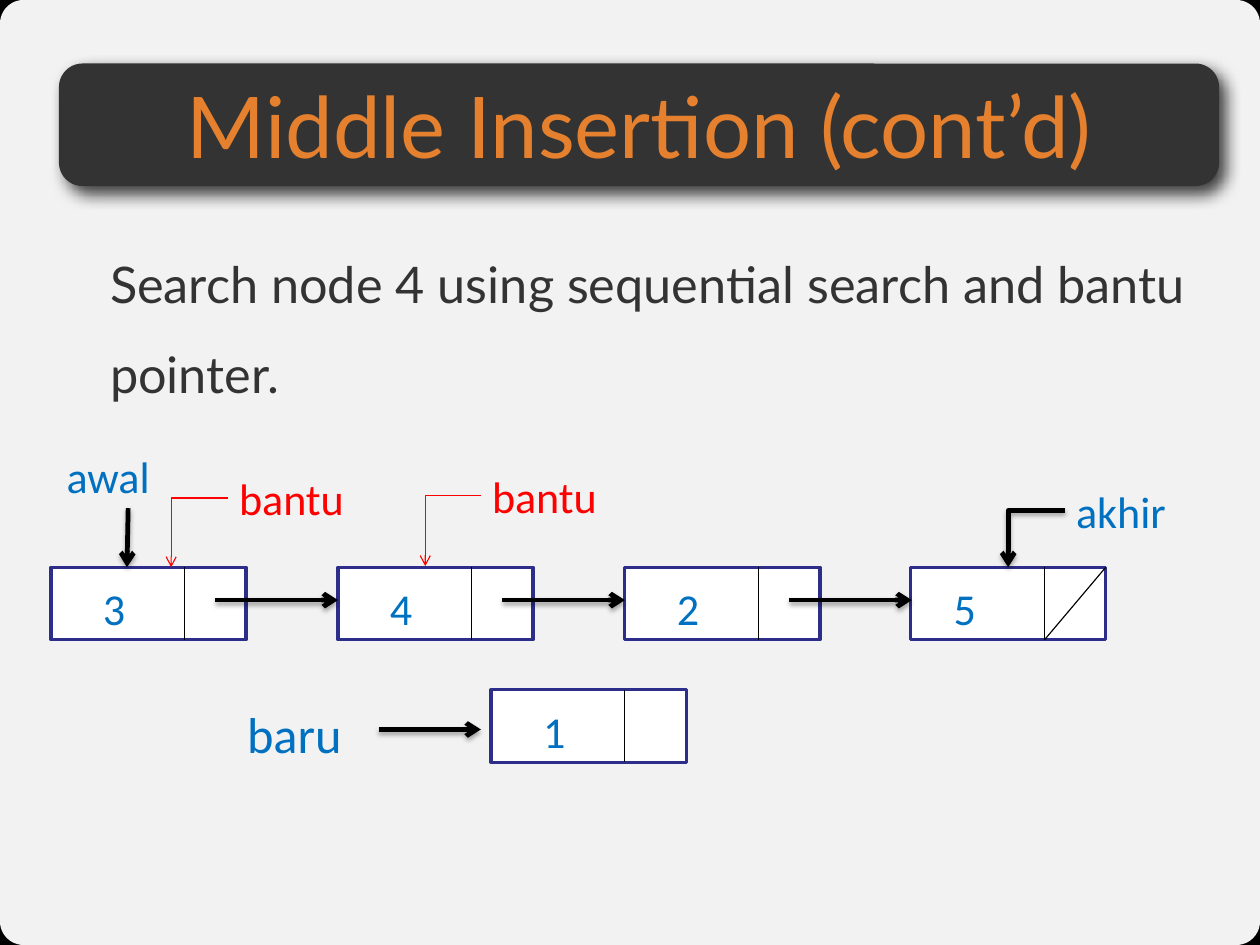
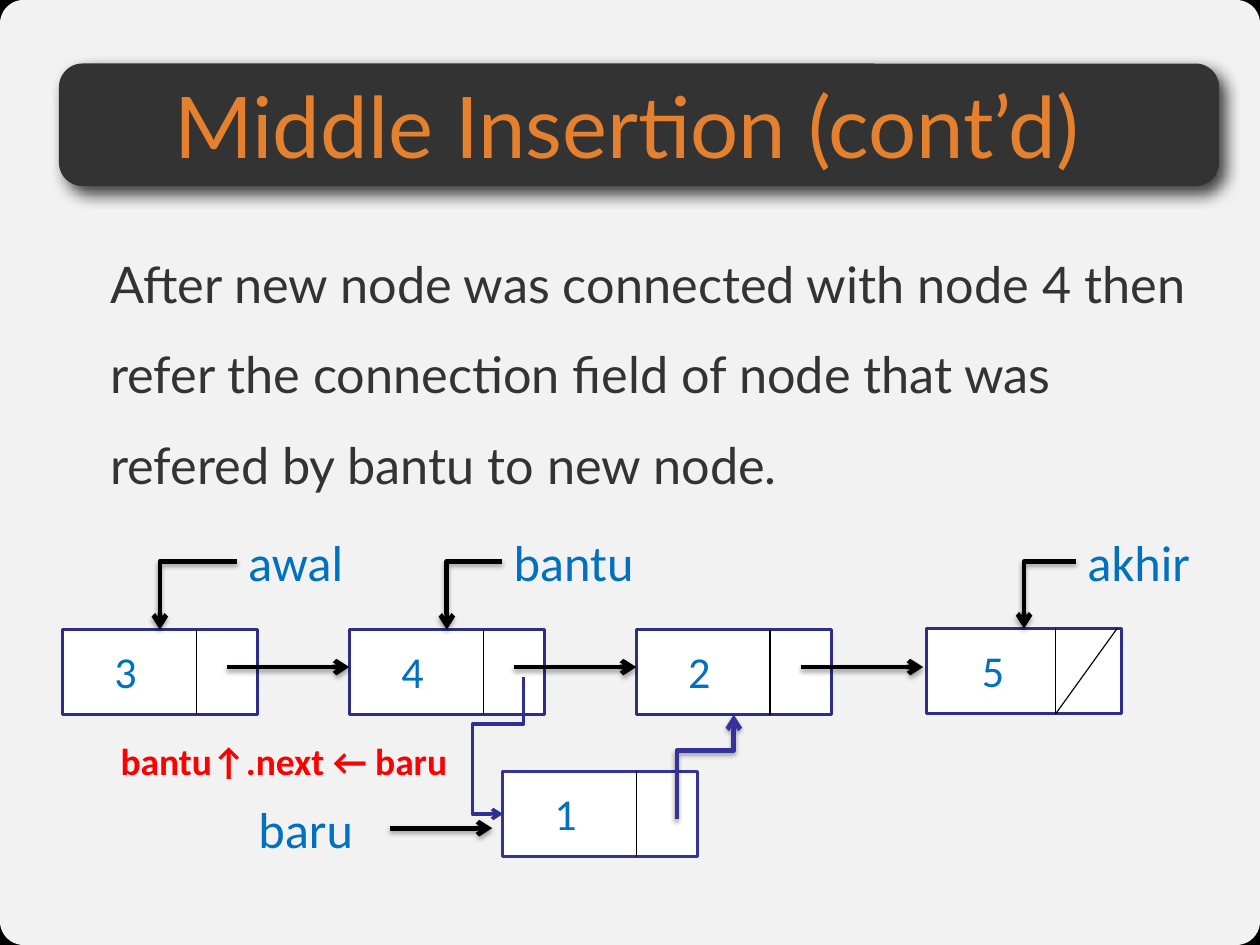
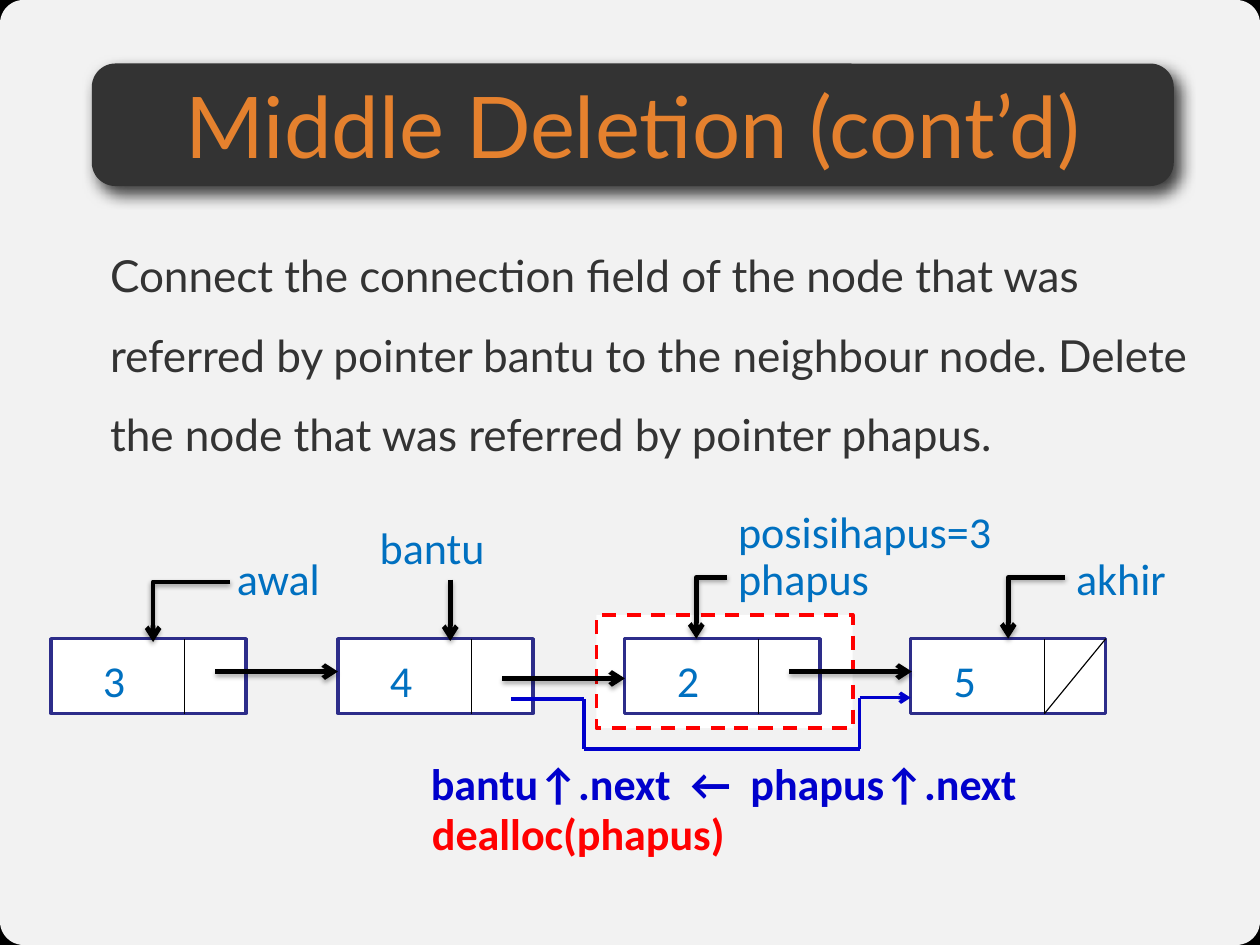
from itertools import pairwise

from lxml.etree import SubElement
from pptx import Presentation
from pptx.dml.color import RGBColor
from pptx.enum.dml import MSO_LINE
from pptx.enum.shapes import MSO_CONNECTOR, MSO_SHAPE
from pptx.enum.text import MSO_ANCHOR, MSO_AUTO_SIZE, PP_ALIGN
from pptx.oxml.ns import qn
from pptx.util import Pt

PX = 9144  # EMU in one px, 100 px to the inch
SLIDE_W, SLIDE_H = 1111, 833

BLACK, WHITE, DARK = "000000", "FFFFFF", "333333"
ORANGE, BLUE, RED = "E5812E", "0070C0", "FF0000"
NODE_EDGE, NEW_EDGE, DETOUR_BLUE = "2D2D8A", "333399", "0000CC"

# alpha %, blur pt, distance pt, direction in degrees
BAND_SHADOW = (75, 10, 6, 51)
LINE_SHADOW = (35, 3.1, 1.8, 90)

ARROW = {"hue": BLACK, "width": 3, "head": True, "shadow": LINE_SHADOW}
THIN = {"hue": BLACK, "width": 0.75}
RED_ARROW = {"hue": RED, "width": 0.75, "head": True}

NODE_W, NODE_STEP, LINK_DX, LINK_W = 172, 253, 118, 54
NO_INSETS = dict.fromkeys(
    ("margin_left", "margin_top", "margin_right", "margin_bottom"), 0)


def px(*lengths):
    return [round(length * PX) for length in lengths]


def colour(hex_text):
    return RGBColor.from_string(hex_text)


def apply(target, values):
    for name, value in values.items():
        setattr(target, name, value)


def set_effects(shape, shadow=None):
    """Replace the theme's shadow by the given one, or by none."""
    effects = SubElement(shape.element.spPr, qn("a:effectLst"))
    if shadow:
        alpha, blur, distance, direction = shadow
        outer = SubElement(effects, qn("a:outerShdw"), {
            "blurRad": str(Pt(blur)), "dist": str(Pt(distance)),
            "dir": str(direction * 60000), "algn": "ctr", "rotWithShape": "0"})
        tint = SubElement(outer, qn("a:srgbClr"), val=BLACK)
        SubElement(tint, qn("a:alpha"), val=str(alpha * 1000))


def panel(slide, box, fill, preset=MSO_SHAPE.RECTANGLE, rounding=None,
          edge=None, edge_width=2, dash=None, opacity=None, shadow=None):
    shape = slide.shapes.add_shape(preset, *px(*box))
    shape.fill.solid()
    shape.fill.fore_color.rgb = colour(fill)
    if opacity:
        tint = shape.element.spPr.find(qn("a:solidFill")).find(qn("a:srgbClr"))
        SubElement(tint, qn("a:alpha"), val=str(opacity * 1000))
    if rounding:
        shape.adjustments[0] = rounding
    if edge:
        shape.line.color.rgb = colour(edge)
        apply(shape.line, {"width": Pt(edge_width), "dash_style": dash})
    else:
        shape.line.fill.background()
    set_effects(shape, shadow)


def write(frame, text, size, font, hue, align=None, bold=None):
    paragraph = frame.paragraphs[0]
    paragraph.alignment = align
    run = paragraph.add_run()
    run.text = text
    apply(run.font, {"size": Pt(size), "name": font, "bold": bold})
    run.font.color.rgb = colour(hue)
    return paragraph


def label(slide, text, x, y, width=126, size=28, hue=BLUE, **text_format):
    box = slide.shapes.add_textbox(*px(x, y, width, size * 2))
    box.text_frame.word_wrap = True
    write(box.text_frame, text, size, "Calibri", hue, **text_format)


def line(slide, start, end, hue, width, head=False, shadow=None,
         preset=None, turn=0, bends=()):
    """Straight line, or a bent one when a preset is named."""
    kind = MSO_CONNECTOR.ELBOW if preset else MSO_CONNECTOR.STRAIGHT
    connector = slide.shapes.add_connector(kind, *px(*start, *end))
    connector.line.color.rgb = colour(hue)
    connector.line.width = Pt(width)
    properties = connector.element.spPr
    if head:
        SubElement(properties.find(qn("a:ln")), qn("a:tailEnd"), type="arrow")
    if preset:
        geometry = properties.find(qn("a:prstGeom"))
        geometry.set("prst", preset)
        for number, bend in enumerate(bends, 1):
            SubElement(geometry.find(qn("a:avLst")), qn("a:gd"),
                       name=f"adj{number}", fmla=f"val {round(bend * 100000)}")
    if turn:
        properties.find(qn("a:xfrm")).set("rot", str(turn * 60000))
    set_effects(connector, shadow)


def pointer(slide, text, x, y, target, size=28, hue=BLUE, style=ARROW,
            start=None, width=144):
    """Label with an arrow that leaves its left side and drops to the target."""
    label(slide, text, x, y, width, size, hue)
    line(slide, start or (x, y + size), target, preset="bentConnector2", **style)


def node(slide, value, x, y, height, value_dx=36, link_dx=LINK_DX,
         last=False, edge=NODE_EDGE):
    panel(slide, (x, y, NODE_W, height), WHITE, edge=edge)
    divider, bottom = x + link_dx, y + height
    line(slide, (divider, y), (divider, bottom), **THIN)
    if last:
        line(slide, (divider + LINK_W, y), (divider, bottom), **THIN)
    label(slide, value, x + value_dx, y + 8, 63)


def linked_list(slide, x, y, height, link_dys, last_node):
    lefts = [x + NODE_STEP * index for index in range(3)]
    for value, left in zip("342", lefts):
        node(slide, value, left, y, height)
    node(slide, "5", height=height, last=True, **last_node)
    for left, link_dy in zip(lefts, link_dys):
        line(slide, (left + 145, y + link_dy),
             (left + NODE_STEP, y + link_dy), **ARROW)


def new_node(slide, x, y, height, label_y, arrow_y, edge=NODE_EDGE):
    node(slide, "1", x, y, height, edge=edge)
    label(slide, "baru", x - 225, label_y, size=32)
    line(slide, (x - 99, arrow_y), (x - 9, arrow_y), **ARROW)


def place(holder, box, **frame_format):
    """Move a placeholder to the front, into the given box."""
    holder.element.getparent().append(holder.element)
    apply(holder, dict(zip(("left", "top", "width", "height"), px(*box))))
    apply(holder.text_frame, NO_INSETS | frame_format | {
        "word_wrap": True, "auto_size": MSO_AUTO_SIZE.NONE})
    return holder.text_frame


def start_slide(deck, title, explanation, size=32, band=(52, 1023),
                title_span=(52, 1023)):
    slide = deck.slides.add_slide(deck.slide_layouts[1])
    heading, body = slide.placeholders
    panel(slide, (0, 0, SLIDE_W, SLIDE_H), WHITE, MSO_SHAPE.ROUNDED_RECTANGLE,
          rounding=0.025, opacity=95)

    frame = place(body, (97, 196, 956, 559), vertical_anchor=MSO_ANCHOR.TOP)
    paragraph = write(frame, explanation, size, "Lato", DARK)
    apply(paragraph, {"line_spacing": 1.5, "space_before": Pt(0)})
    properties = paragraph._p.get_or_add_pPr()
    for name in ("marL", "indent"):
        properties.set(name, "0")
    SubElement(properties, qn("a:buNone"))

    panel(slide, (band[0], 56, band[1], 108), DARK,
          MSO_SHAPE.ROUNDED_RECTANGLE, rounding=0.192, shadow=BAND_SHADOW)
    frame = place(heading, (title_span[0], 60, title_span[1], 100),
                  vertical_anchor=MSO_ANCHOR.MIDDLE)
    write(frame, title, 54, "Lato", ORANGE, align=PP_ALIGN.CENTER)
    return slide


def search_slide(deck):
    slide = start_slide(
        deck, "Middle Insertion (cont’d)",
        "Search node 4 using sequential search and bantu pointer.")
    new_node(slide, 433, 608, 64, label_y=615, arrow_y=643)
    linked_list(slide, 45, 500, 64, (29, 29, 29),
                {"x": 803, "y": 500, "value_dx": 28})
    label(slide, "awal", 49, 391)
    line(slide, (113, 448), (112, 500), **ARROW)
    pointer(slide, "akhir", 939, 422, (889, 500))
    for x, y, target in ((201, 411, (151, 500)), (424, 409, (375, 499))):
        pointer(slide, "bantu", x, y, target, hue=RED, style=RED_ARROW)


def connect_slide(deck):
    slide = start_slide(
        deck, "Middle Insertion (cont’d)",
        "After new node was connected with node 4 then refer the connection "
        "field of node that was refered by bantu to new node.",
        title_span=(52, 1001))
    label(slide, "bantu↑.next ← baru", 44, 646, 360, 23.8, RED,
          align=PP_ALIGN.RIGHT, bold=True)
    linked_list(slide, 55, 555, 75, (33, 33, 33),
                {"x": 817, "y": 554, "value_dx": 39, "link_dx": 114})
    new_node(slide, 443, 680, 75, label_y=699, arrow_y=730, edge=NEW_EDGE)
    for text, x, target in (("awal", 209, (141, 555)),
                            ("bantu", 443, (394, 555)),
                            ("akhir", 949, (903, 554))):
        pointer(slide, text, x, 463, target, size=32)
    line(slide, (668, 701), (576, 651), preset="bentConnector3", turn=90,
         bends=(0.658,), **ARROW | {"hue": NEW_EDGE})
    line(slide, (392, 648), (513, 666), "2F2F98", 2.25, head=True,
         preset="bentConnector4", turn=90, bends=(0.345, 2.5))


def delete_slide(deck):
    slide = start_slide(
        deck, "Middle Deletion (cont’d)",
        "Connect the connection field of the node that was referred by pointer "
        "bantu to the neighbour node. Delete the node that was referred by "
        "pointer phapus.",
        size=28, band=(81, 954), title_span=(83, 950))
    panel(slide, (526, 542, 226, 100), WHITE, edge=RED, edge_width=2.25,
          dash=MSO_LINE.DASH)
    linked_list(slide, 45, 563, 66, (29, 35, 29),
                {"x": 803, "y": 563, "value_dx": 28})
    pointer(slide, "awal", 199, 481, (135, 566), start=(203, 513))
    pointer(slide, "phapus", 641, 481, (614, 563), width=172)
    pointer(slide, "akhir", 939, 481, (889, 563))
    label(slide, "posisihapus=3", 641, 440, 325)
    label(slide, "bantu", 325, 454, 144)
    line(slide, (397, 511), (397, 565), **ARROW)

    detour = [(451, 616), (515, 616), (515, 660), (758, 660), (758, 615),
              (803, 615)]
    for start, end in pairwise(detour):
        line(slide, start, end, DETOUR_BLUE, 2.25, head=end == detour[-1])
    label(slide, "bantu↑.next  ←  phapus↑.next", 370, 662, 602,
          hue=DETOUR_BLUE, bold=True)
    label(slide, "dealloc(phapus)", 371, 706, 356, hue=RED, bold=True)


def main():
    deck = Presentation()
    deck.slide_width, deck.slide_height = px(SLIDE_W, SLIDE_H)
    backdrop = deck.slide_master.background.fill
    backdrop.solid()
    backdrop.fore_color.rgb = colour(BLACK)
    for build in (search_slide, connect_slide, delete_slide):
        build(deck)
    deck.save("out.pptx")


if __name__ == "__main__":
    main()
